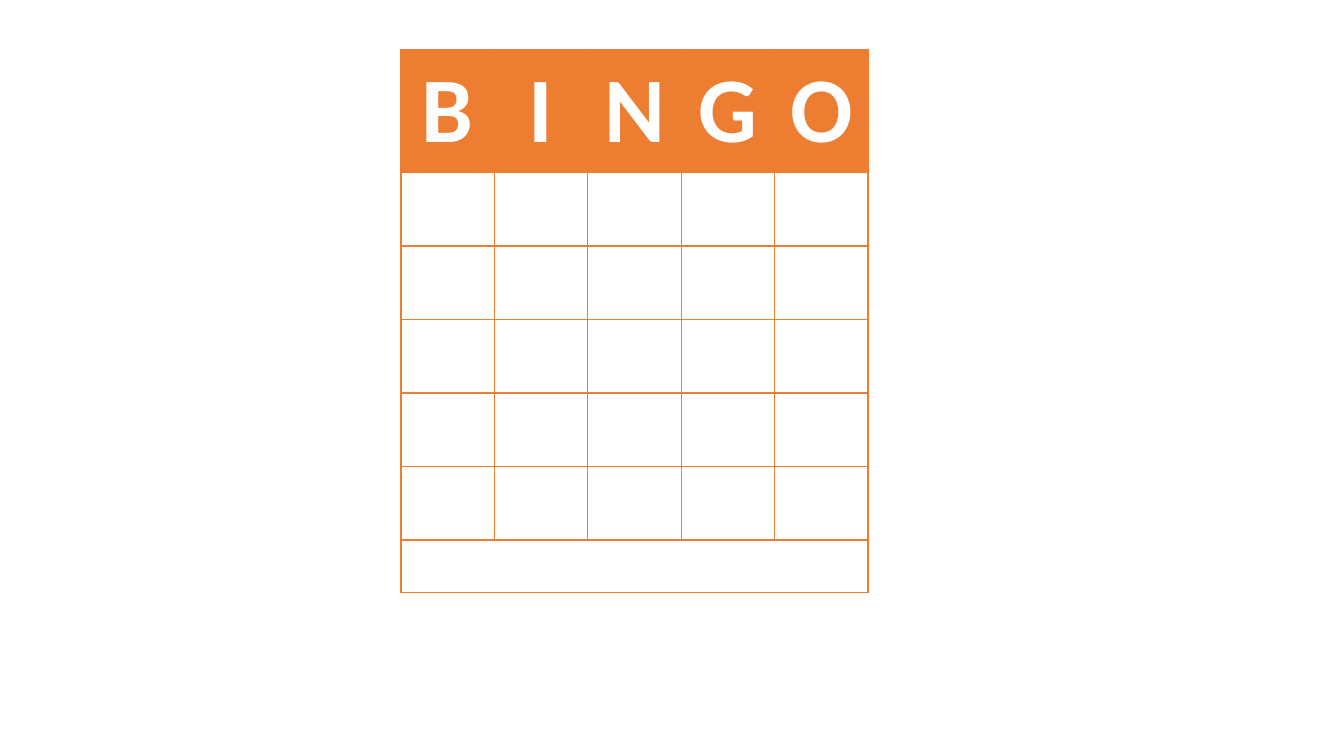
"""Build a slide with an empty five-by-five bingo card."""
from dataclasses import dataclass

from lxml.etree import SubElement
from pptx import Presentation
from pptx.dml.color import RGBColor
from pptx.enum.text import MSO_ANCHOR, PP_ALIGN
from pptx.oxml.ns import qn
from pptx.util import Pt


@dataclass(frozen=True)
class Theme:
    orange: str = "ED7D31"
    white: str = "FFFFFF"
    font: str = "Calibri"
    letter_size: int = 66
    border_width: int = 1


def set_borders(cell, color, width):
    """Outline all four sides of a cell, keeping borders ahead of its fill."""
    properties = cell._tc.get_or_add_tcPr()
    for position, side in enumerate(("a:lnL", "a:lnR", "a:lnT", "a:lnB")):
        line = SubElement(properties, qn(side), w=str(Pt(width)))
        fill = SubElement(line, qn("a:solidFill"))
        SubElement(fill, qn("a:srgbClr"), val=color)
        properties.insert(position, line)


theme = Theme()
letters = "BINGO"
column_width = 66.7
row_heights = [82.8] + [52.5] * 5 + [37.5]

presentation = Presentation()
presentation.slide_width = Pt(960)
presentation.slide_height = Pt(540)
slide = presentation.slides.add_slide(presentation.slide_layouts[6])

card = slide.shapes.add_table(
    len(row_heights), len(letters), Pt(286.5), Pt(35.3),
    Pt(column_width * len(letters)), Pt(sum(row_heights)),
).table
card.horz_banding = False

for column in card.columns:
    column.width = Pt(column_width)
for row, height in zip(card.rows, row_heights):
    row.height = Pt(height)

for row_index, row in enumerate(card.rows):
    for cell in row.cells:
        cell.fill.solid()
        cell.fill.fore_color.rgb = RGBColor.from_string(
            theme.white if row_index else theme.orange)
        set_borders(cell, theme.orange, theme.border_width)

for cell, letter in zip(card.rows[0].cells, letters):
    cell.text = letter
    cell.vertical_anchor = MSO_ANCHOR.MIDDLE
    paragraph = cell.text_frame.paragraphs[0]
    paragraph.alignment = PP_ALIGN.CENTER
    paragraph.font.name = theme.font
    paragraph.font.size = Pt(theme.letter_size)
    paragraph.font.bold = True
    paragraph.font.color.rgb = RGBColor.from_string(theme.white)

last_row = len(row_heights) - 1
card.cell(last_row, 0).merge(card.cell(last_row, len(letters) - 1))

presentation.save("out.pptx")
